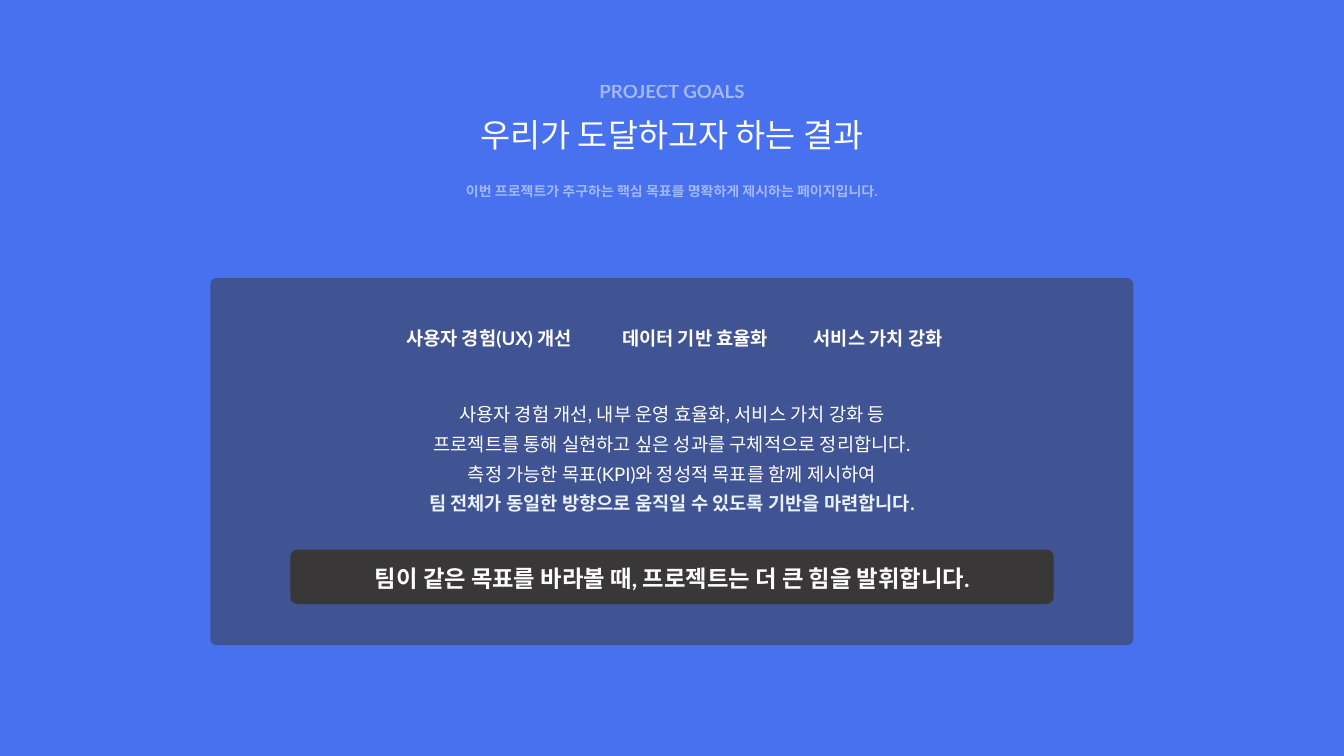
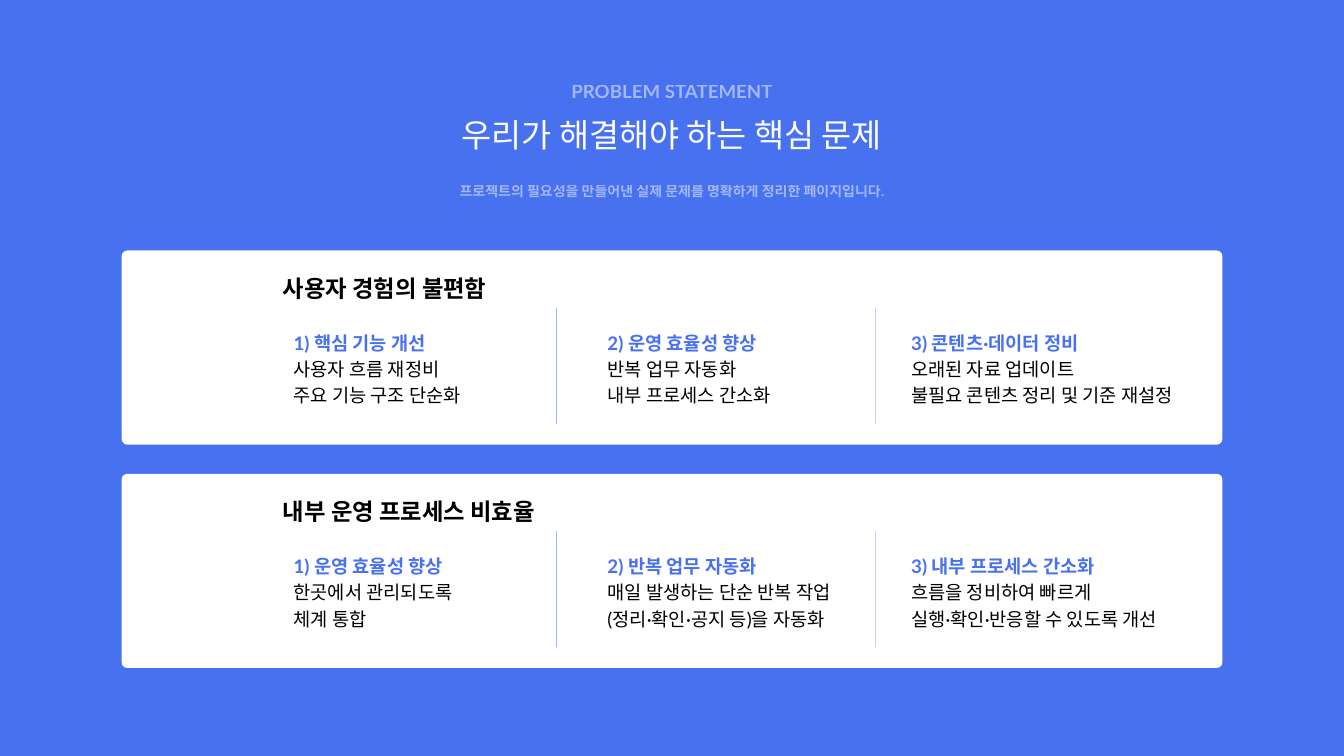
import dataclasses

import lxml.etree
import pptx
import pptx.dml.color
import pptx.enum.shapes
import pptx.enum.text
import pptx.oxml.ns
import pptx.util

Pt = pptx.util.Pt
qn = pptx.oxml.ns.qn
ALIGN = pptx.enum.text.PP_ALIGN
SHAPE = pptx.enum.shapes.MSO_SHAPE


@dataclasses.dataclass(frozen=True)
class Theme:
    blue: str = "4871EF"
    dark: str = "393737"
    white: str = "FFFFFF"
    pale: str = "EAF1FF"
    black: str = "000000"
    font: str = "Lato"
    title_font: str = "Noto Sans CJK KR"
    title: int = 35
    large: int = 25
    body: int = 20
    small: int = 15
    half: int = 50


theme = Theme()


def paint(fill, color, alpha=100):
    """Make a fill solid, with alpha as percent opacity."""
    fill.solid()
    fill.fore_color.rgb = pptx.dml.color.RGBColor.from_string(color)
    if alpha < 100:
        tone = fill._xPr.find(".//" + qn("a:srgbClr"))
        lxml.etree.SubElement(tone, qn("a:alpha"), val=str(alpha * 1000))


def write(slide, box, lines, size, align=ALIGN.CENTER, alpha=100,
          font=theme.font, lead=1.4):
    """Add a text box; each line is (text, color, bold)."""
    frame = slide.shapes.add_textbox(*map(Pt, box)).text_frame
    frame.word_wrap = True
    frame.auto_size = pptx.enum.text.MSO_AUTO_SIZE.SHAPE_TO_FIT_TEXT
    frame.margin_left = frame.margin_right = 0
    frame.margin_top = frame.margin_bottom = 0
    for i, (text, color, bold) in enumerate(lines):
        para = frame.add_paragraph() if i else frame.paragraphs[0]
        para.alignment = align
        para.line_spacing = Pt(size * lead)
        run = para.add_run()
        run.text = text
        run.font.name = font
        run.font.size = Pt(size)
        run.font.bold = bold
        paint(run.font.fill, color, alpha)


deck = pptx.Presentation()
deck.slide_width, deck.slide_height = Pt(1440), Pt(810)
paint(deck.slide_master.background.fill, theme.blue)
goals, issues = [deck.slides.add_slide(deck.slide_layouts[6]) for _ in range(2)]

# Rounded cards
left, top, width, height = 130.3, 268.4, 1179.4, 208
pitch = 239.3
cards = [
    (goals, (225.4, 298, 988.8, 393.2), 6.2, theme.dark, theme.half),
    (goals, (311, 588.8, 818, 58.4), 7.6, theme.dark, 100),
    (issues, (left, top, width, height), 6, theme.white, 100),
    (issues, (left, top + pitch, width, height), 6, theme.white, 100),
]
for slide, box, radius, color, alpha in cards:
    card = slide.shapes.add_shape(SHAPE.ROUNDED_RECTANGLE, *map(Pt, box))
    card.adjustments[0] = radius / box[3]
    card.shadow.inherit = False
    card.line.fill.background()
    paint(card.fill, color, alpha)

# Headings
heads = [
    (goals, "PROJECT GOALS", "우리가 도달하고자 하는 결과",
     "이번 프로젝트가 추구하는 핵심 목표를 명확하게 제시하는 페이지입니다."),
    (issues, "PROBLEM STATEMENT", "우리가 해결해야 하는 핵심 문제",
     "프로젝트의 필요성을 만들어낸 실제 문제를 명확하게 정리한 페이지입니다."),
]
for slide, label, title, note in heads:
    write(slide, (501.5, 82, 437, 27.4), [(label, theme.white, True)],
          theme.body, alpha=theme.half)
    write(slide, (368, 116.6, 704, 47.5), [(title, theme.white, False)],
          theme.title, font=theme.title_font)
    write(slide, (357, 193, 726, 20.2), [(note, theme.white, True)],
          theme.small, alpha=theme.half)

# Project goals
x = 426.2
for text, span in [("사용자 경험(UX) 개선", 195.8),
                   ("데이터 기반 효율화", 169.2),
                   ("서비스 가치 강화", 146.9)]:
    write(goals, (x, 346.3, span, 27.4), [(text, theme.white, True)], theme.body)
    x += span + 38.2

write(goals, (304.6, 423.4, 830.8, 124.6), [
    ("사용자 경험 개선, 내부 운영 효율화, 서비스 가치 강화 등", theme.white, False),
    ("프로젝트를 통해 실현하고 싶은 성과를 구체적으로 정리합니다.", theme.white, False),
    ("측정 가능한 목표(KPI)와 정성적 목표를 함께 제시하여", theme.white, False),
    ("팀 전체가 동일한 방향으로 움직일 수 있도록 기반을 마련합니다.", theme.pale, True),
], theme.body, lead=1.6)
write(goals, (397.4, 599.8, 645.8, 33.1),
      [("팀이 같은 목표를 바라볼 때, 프로젝트는 더 큰 힘을 발휘합니다.",
        theme.white, True)], theme.large)

# Problem statement
columns = [314.6, 650.9, 976.3]
rules = [596.2, 938.2]
rows = [
    ("사용자 경험의 불편함", [
        ("핵심 기능 개선", "사용자 흐름 재정비", "주요 기능 구조 단순화"),
        ("운영 효율성 향상", "반복 업무 자동화", "내부 프로세스 간소화"),
        ("콘텐츠·데이터 정비", "오래된 자료 업데이트", "불필요 콘텐츠 정리 및 기준 재설정"),
    ]),
    ("내부 운영 프로세스 비효율", [
        ("운영 효율성 향상", "한곳에서 관리되도록", "체계 통합"),
        ("반복 업무 자동화", "매일 발생하는 단순 반복 작업", "(정리·확인·공지 등)을 자동화"),
        ("내부 프로세스 간소화", "흐름을 정비하여 빠르게", "실행·확인·반응할 수 있도록 개선"),
    ]),
]
for i, (title, items) in enumerate(rows):
    y = top + i * pitch
    write(issues, (303.1, y + 20, 354.2, 33.1), [(title, theme.black, True)],
          theme.large, ALIGN.LEFT)
    for n, (x, (head, *texts)) in enumerate(zip(columns, items), 1):
        lines = [(f"{n}) {head}", theme.blue, True)]
        lines += [(text, theme.black, False) for text in texts]
        write(issues, (x, y + 83, 310.3, 82.8), lines, theme.body, ALIGN.LEFT)
    for x in rules:
        rule = issues.shapes.add_connector(
            pptx.enum.shapes.MSO_CONNECTOR.STRAIGHT,
            Pt(x), Pt(y + 61.4), Pt(x), Pt(y + 186))
        rule.line.width = Pt(0.75)
        paint(rule.line.fill, theme.blue, theme.half)
        lxml.etree.SubElement(rule.element.spPr, qn("a:effectLst"))

deck.save("out.pptx")
